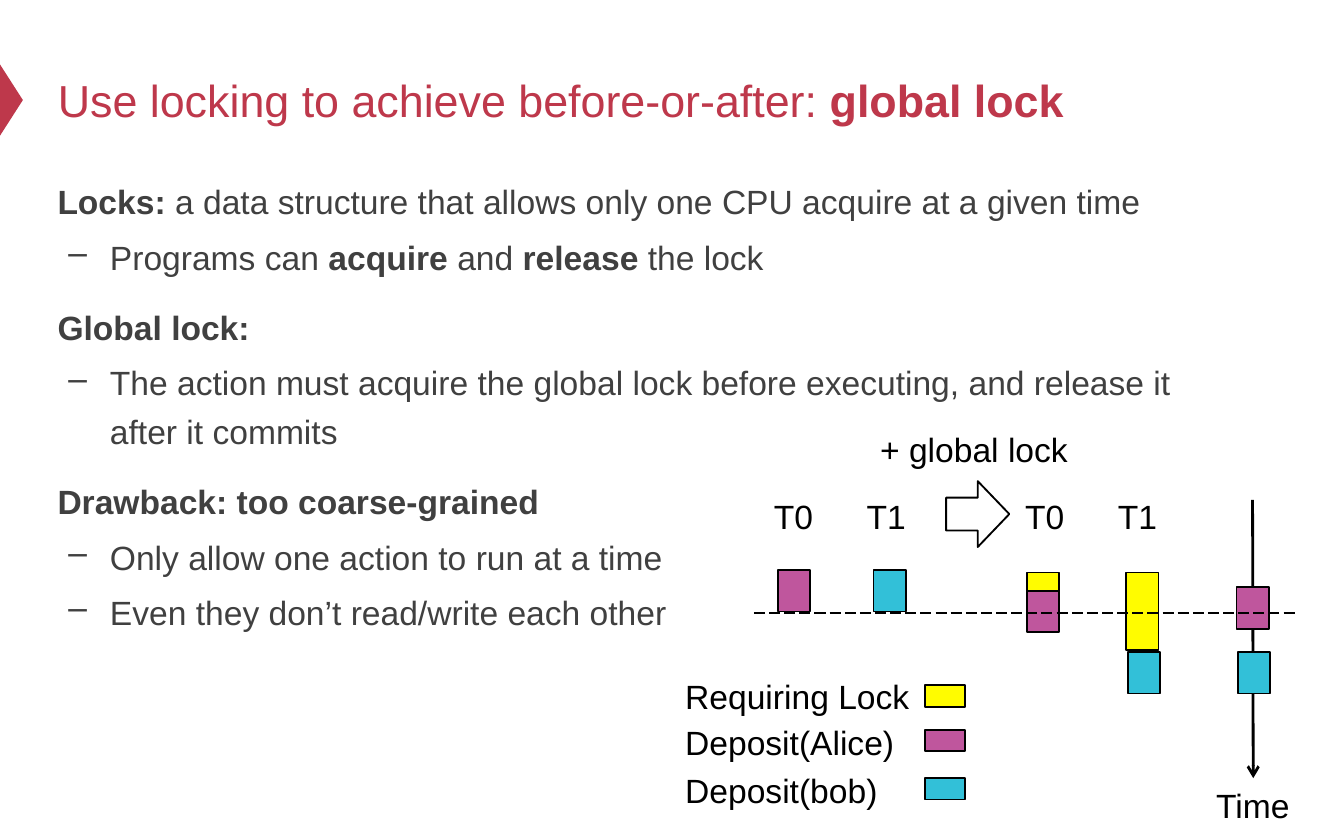
from lxml import etree
from pptx import Presentation
from pptx.dml.color import RGBColor
from pptx.enum.dml import MSO_LINE
from pptx.enum.shapes import MSO_CONNECTOR, MSO_SHAPE
from pptx.enum.text import MSO_ANCHOR, PP_ALIGN
from pptx.oxml.ns import qn
from pptx.util import Inches, Pt

RECT, TRIANGLE, ARROW = MSO_SHAPE.RECTANGLE, MSO_SHAPE.ISOSCELES_TRIANGLE, MSO_SHAPE.RIGHT_ARROW
STRAIGHT = MSO_CONNECTOR.STRAIGHT
LEFT, TOP, MIDDLE = PP_ALIGN.LEFT, MSO_ANCHOR.TOP, MSO_ANCHOR.MIDDLE

COLORS = {"red": "BE384B", "gray": "404040", "black": "000000",
          "lock": "FFFC00", "alice": "BF569D", "bob": "32C0D8"}

# Text between ** marks is bold.
TITLE = "Use locking to achieve before-or-after: **global lock**"
BODY = [  # level, text
    (0, "**Locks: **a data structure that allows only one CPU acquire at a given time"),
    (1, "Programs can **acquire** and **release** the lock"),
    (0, "**Global lock:**"),
    (1, "The action must acquire the global lock before executing, "
        "and release it after it commits"),
    (0, "**Drawback: too coarse-grained**"),
    (1, "Only allow one action to run at a time"),
    (1, "Even they don’t read/write each other"),
]
LEGEND = [  # label, width, label top, swatch top, colour
    ("Requiring Lock", 1.88, 4.98, 5.10, "lock"),
    ("Deposit(Alice)", 1.77, 5.32, 5.43, "alice"),
    ("Deposit(bob)", 1.65, 5.68, 5.79, "bob"),
]
THREAD_GROUPS = [5.66, 7.53]  # left of each T0, T1 pair
THREAD_STEP = 0.69
BAR_W, BAR_H = 0.24, 0.31
BARS = [  # left, top, height, colour
    (5.79, 4.24, BAR_H, "alice"),
    (6.50, 4.24, BAR_H, "bob"),
    (7.64, 4.39, BAR_H, "alice"),
    (8.39, 4.85, BAR_H, "bob"),
    (7.64, 4.26, 0.14, "lock"),
    (8.38, 4.26, 0.58, "lock"),
    (9.20, 4.37, BAR_H, "alice"),
    (9.21, 4.85, BAR_H, "bob"),
]
LABEL_H = 0.4
COMMIT_Y = 4.56


def rgb(name):
    return RGBColor.from_string(COLORS[name])


def place(sp, left, top, width, height):
    sp.left, sp.top, sp.width, sp.height = map(Inches, (left, top, width, height))


def write(tf, paragraphs, size=18, color="black", anchor=TOP, wrap=True, spacing=None):
    """Fill a text frame from (level, text) pairs; level 1 gets a dash bullet."""
    tf.word_wrap, tf.vertical_anchor = wrap, anchor
    for i, (level, text) in enumerate(paragraphs):
        p = tf.paragraphs[0] if i == 0 else tf.add_paragraph()
        p.alignment = LEFT
        if level:
            pPr = p._p.get_or_add_pPr()
            pPr.set("marL", str(Inches(0.39)))
            pPr.set("indent", str(Inches(-0.31)))
            etree.SubElement(pPr, qn("a:buChar")).set("char", "–")
        if spacing:
            p.line_spacing = spacing
            if i:
                p.space_before = Pt(3.6 if level else 12)
        for j, part in enumerate(text.split("**")):
            if part:
                r = p.add_run()
                r.text = part
                r.font.name, r.font.size, r.font.bold = "Arial", Pt(size), j % 2 == 1
                r.font.color.rgb = rgb(color)


def add_label(s, text, left, top, width):
    sp = s.shapes.add_textbox(*map(Inches, (left, top, width, LABEL_H)))
    write(sp.text_frame, [(0, text)], wrap=False)
    return sp


def add_shape(s, kind, left, top, width, height, fill=None, line="black"):
    sp = s.shapes.add_shape(kind, *map(Inches, (left, top, width, height)))
    sp.shadow.inherit = False
    if fill:
        sp.fill.solid()
        sp.fill.fore_color.rgb = rgb(fill)
    else:
        sp.fill.background()
    if line:
        sp.line.color.rgb, sp.line.width = rgb(line), Pt(1)
    else:
        sp.line.fill.background()
    return sp


def add_line(s, x1, y1, x2, y2, width):
    cx = s.shapes.add_connector(STRAIGHT, *map(Inches, (x1, y1, x2, y2)))
    cx.line.color.rgb, cx.line.width = rgb("black"), Pt(width)
    etree.SubElement(cx._element.spPr, qn("a:effectLst"))
    return cx


def main():
    prs = Presentation()
    prs.slide_width, prs.slide_height = Inches(10), Inches(6.25)
    s = prs.slides.add_slide(prs.slide_layouts[5])

    place(s.shapes.title, 0.33, 0.25, 9, 0.98)
    write(s.shapes.title.text_frame, [(0, TITLE)], size=24, color="red", anchor=MIDDLE)
    marker = add_shape(s, TRIANGLE, -0.18, 0.66, 0.53, 0.17, "red", line=None)
    marker.rotation = 90
    body = s.shapes.add_textbox(*map(Inches, (0.33, 1.24, 9, 4.15)))
    write(body.text_frame, BODY, color="gray", spacing=1.2)

    time = add_label(s, "Time", 8.95, 5.79, 0.75)
    axis = add_line(s, 9.32, 3.72, 9.33, 5.79, 1.5)
    axis.end_connect(time, 0)
    etree.SubElement(axis.line._get_or_add_ln(), qn("a:tailEnd")).set("type", "arrow")

    for left in THREAD_GROUPS:
        for i in range(2):
            add_label(s, f"T{i}", left + i * THREAD_STEP, 3.64, 0.5)
    add_shape(s, ARROW, 7.04, 3.58, 0.47, 0.49)
    add_label(s, "+ global lock", 6.45, 3.14, 1.61)

    for left, top, height, color in BARS:
        add_shape(s, RECT, left, top, BAR_W, height, color)
    commit = add_line(s, 5.61, COMMIT_Y, 9.66, COMMIT_Y, 0.75)
    commit.line.dash_style = MSO_LINE.LONG_DASH

    for text, width, label_top, swatch_top, color in LEGEND:
        add_label(s, text, 5, label_top, width)
        add_shape(s, RECT, 6.88, swatch_top, 0.3, 0.16, color)

    prs.save("out.pptx")


if __name__ == "__main__":
    main()
